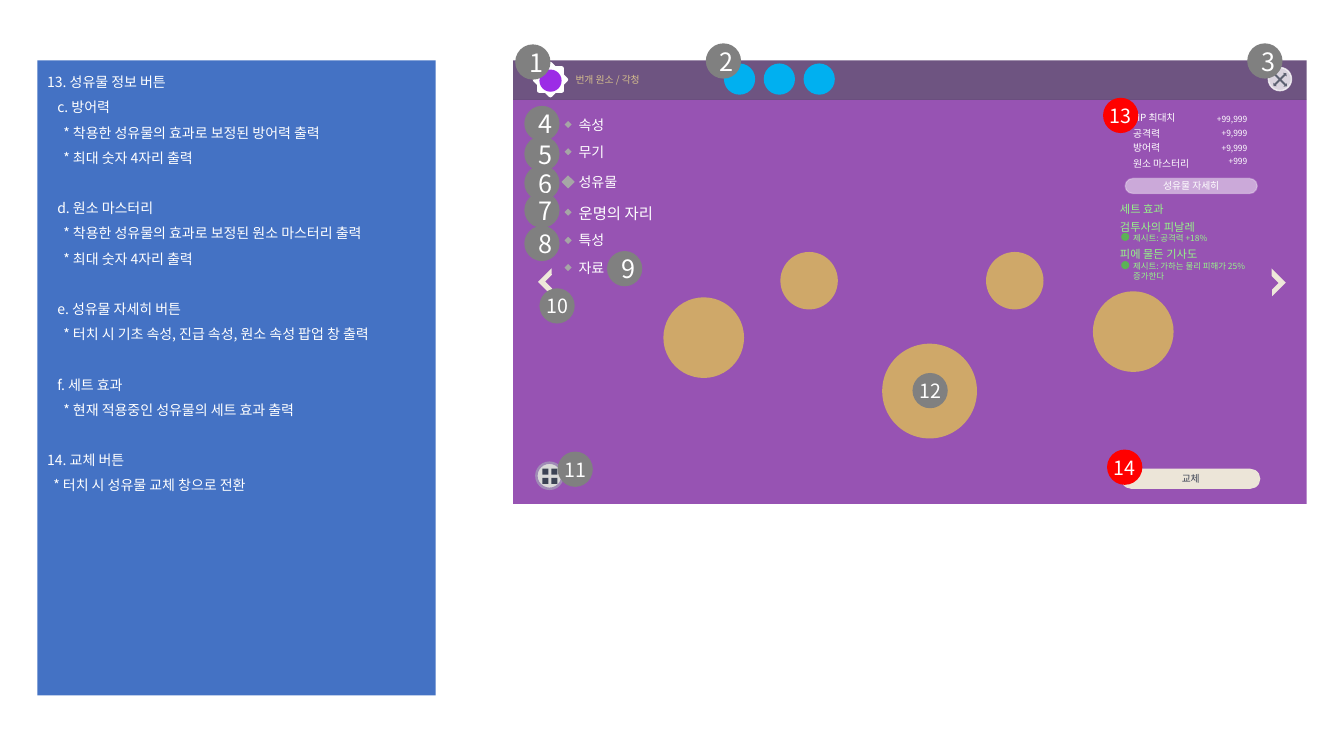
import pptx
import pptx.util
import pptx.dml.color
import pptx.enum.shapes
import pptx.enum.text
import pptx.oxml.ns
import lxml.etree

Inches = pptx.util.Inches
Pt = pptx.util.Pt
RGBColor = pptx.dml.color.RGBColor
SHAPE = pptx.enum.shapes.MSO_SHAPE
ALIGN = pptx.enum.text.PP_ALIGN
ANCHOR = pptx.enum.text.MSO_ANCHOR
qn = pptx.oxml.ns.qn

FONT = "Noto Sans CJK KR"
WHITE = RGBColor(0xFF, 0xFF, 0xFF)
PURPLE = RGBColor(0x97, 0x53, 0xB3)
HEADER = RGBColor(0x3E, 0x1B, 0x57)
CREAM = RGBColor(0xEC, 0xE5, 0xD8)
ARROW = RGBColor(0xEE, 0xE8, 0xDA)
INK = RGBColor(0x3B, 0x42, 0x54)
LIME = RGBColor(0x96, 0xF5, 0x88)
GREEN = RGBColor(0x5C, 0xB2, 0x56)
GOLD = RGBColor(0xCF, 0xA8, 0x69)
PALE_GOLD = RGBColor(0xD6, 0xBF, 0x8E)
VIOLET = RGBColor(0x9C, 0x2C, 0xE6)
LILAC = RGBColor(0x9F, 0x8A, 0xB6)
CYAN = RGBColor(0x00, 0xB0, 0xF0)
BLUE = RGBColor(0x44, 0x72, 0xC4)
LIGHT_GRAY = RGBColor(0xD9, 0xD9, 0xD9)
MID_GRAY = RGBColor(0xA6, 0xA6, 0xA6)
GRAY = RGBColor(0x80, 0x80, 0x80)
RED = RGBColor(0xFF, 0x00, 0x00)


class Screen:
    def __init__(self, slide):
        self.slide = slide

    def set_alpha(self, fill_parent, percent):
        color = fill_parent.find(qn("a:solidFill"))[0]
        alpha = lxml.etree.SubElement(color, qn("a:alpha"))
        alpha.set("val", str(percent * 1000))

    def shape(self, kind, left, top, width, height, fill=None, alpha=100,
              line=None, weight=1, line_alpha=100, rotation=0, adjust=()):
        item = self.slide.shapes.add_shape(
            kind, Inches(left), Inches(top), Inches(width), Inches(height))
        item.shadow.inherit = False
        item.rotation = rotation
        for index, value in enumerate(adjust):
            item.adjustments[index] = value
        if fill is None:
            item.fill.background()
        else:
            item.fill.solid()
            item.fill.fore_color.rgb = fill
            if alpha < 100:
                self.set_alpha(item._element.spPr, alpha)
        if line is None:
            item.line.fill.background()
        else:
            item.line.color.rgb = line
            item.line.width = Pt(weight)
            if line_alpha < 100:
                self.set_alpha(item._element.spPr.find(qn("a:ln")), line_alpha)
        return item

    def style(self, paragraph, size, color, align=ALIGN.LEFT, spacing=1.22):
        paragraph.alignment = align
        paragraph.line_spacing = Pt(round(size * spacing, 1))
        font = paragraph.font
        font.size = Pt(size)
        font.name = FONT
        font.color.rgb = color
        east_asian = lxml.etree.SubElement(font._element, qn("a:ea"))
        east_asian.set("typeface", FONT)

    def put_text(self, item, lines, size, color, align=ALIGN.LEFT,
                 anchor=ANCHOR.TOP, inset=(0.1, 0.05, 0.1, 0.05)):
        frame = item.text_frame
        frame.word_wrap = True
        frame.vertical_anchor = anchor
        (frame.margin_left, frame.margin_top,
         frame.margin_right, frame.margin_bottom) = map(Inches, inset)
        frame.text = lines
        for paragraph in frame.paragraphs:
            self.style(paragraph, size, color, align)

    def label(self, text, left, top, width, height, size, color=WHITE, **options):
        box = self.slide.shapes.add_textbox(
            Inches(left), Inches(top), Inches(width), Inches(height))
        self.put_text(box, text, size, color, **options)

    def button(self, text, left, top, width, height, color, **options):
        pill = self.shape(SHAPE.ROUNDED_RECTANGLE, left, top, width, height,
                          adjust=(0.5,), **options)
        self.put_text(pill, text, 7, color, ALIGN.CENTER, ANCHOR.MIDDLE, (0, 0, 0, 0))

    def dot(self, left, top, size, color, **options):
        return self.shape(SHAPE.OVAL, left, top, size, size, color, **options)

    def badge(self, number, left, top):
        disc = self.dot(left, top, 0.35, RED if number >= 13 else GRAY)
        size, nudge = (18, 0.07) if number < 10 else (14, 0)
        self.put_text(disc, str(number), size, WHITE, ALIGN.CENTER, ANCHOR.MIDDLE,
                      (nudge, 0, 0, 0))

    def description(self, entries):
        panel = self.shape(SHAPE.RECTANGLE, 0.37, 0.6, 3.95, 6.3, BLUE)
        self.put_text(panel, "\n".join(text for text, _, _ in entries), 10, WHITE)
        for paragraph, (_, indent, gap) in zip(panel.text_frame.paragraphs, entries):
            paragraph.line_spacing = Pt(18)
            if gap:
                paragraph.space_before = Pt(18)
            paragraph._p.get_or_add_pPr().set("marL", str(Inches(indent)))


def main():
    deck = pptx.Presentation()
    deck.slide_width, deck.slide_height = Inches(13.33), Inches(7.5)
    screen = Screen(deck.slides.add_slide(deck.slide_layouts[6]))

    screen.shape(SHAPE.RECTANGLE, 5.09, 0.99, 7.87, 4.01, PURPLE)
    screen.shape(SHAPE.RECTANGLE, 5.09, 0.6, 7.87, 0.39, HEADER, 75)

    for stat, value, stat_top, value_top in (
            ("HP 최대치", "+99,999", 1.06, 1.13), ("공격력", "+9,999", 1.22, 1.27),
            ("방어력", "+9,999", 1.36, 1.42), ("원소 마스터리", "+999", 1.51, 1.55)):
        screen.label(stat, 11.14, stat_top, 0.85, 0.22, 7)
        screen.label(value, 11.88, value_top, 0.49, 0.1, 6,
                     align=ALIGN.RIGHT, inset=(0, 0, 0, 0))
    screen.button("성유물 자세히", 11.16, 1.77, 1.31, 0.15, WHITE,
                  fill=WHITE, alpha=50, line=WHITE, line_alpha=25)
    screen.button("교체", 11.12, 4.65, 1.38, 0.2, INK, fill=CREAM)

    for heading, top in (("세트 효과", 1.96), ("검투사의 피날레", 2.13),
                         ("피에 물든 기사도", 2.4)):
        screen.label(heading, 11.01, top, 1.43, 0.24, 8, LIME)
    for effect, top, height in (("제시트: 공격력 +18%", 2.26, 0.2),
                                ("제시트: 가하는 물리 피해가 25%\n증가한다", 2.54, 0.3)):
        screen.label(effect, 11.14, top, 1.6, height, 6, LIME)
        screen.dot(11.12, top + 0.05, 0.08, GREEN)

    for left, top, size in ((8.75, 3.41, 0.94), (6.58, 2.95, 0.8), (7.74, 2.5, 0.57),
                            (9.78, 2.5, 0.57), (10.84, 2.89, 0.8)):
        screen.dot(left, top, size, GOLD)

    screen.dot(12.58, 0.67, 0.23, WHITE, alpha=75, line=WHITE, line_alpha=75)
    screen.shape(SHAPE.QUAD_ARROW, 12.6, 0.7, 0.19, 0.18, INK, 78,
                 rotation=45, adjust=(0.103, 0.139, 0.12))

    for rotation in (0, 315):
        screen.shape(SHAPE.RECTANGLE, 5.35, 0.68, 0.22, 0.22,
                     line=WHITE, weight=3, rotation=rotation)
    screen.dot(5.35, 0.69, 0.22, VIOLET)
    screen.label("번개 원소 / 각청", 5.61, 0.68, 2.08, 0.22, 7, PALE_GOLD)
    for column in range(3):
        screen.dot(7.18 + column * 0.395, 0.63, 0.31, CYAN)

    for left, rotation in ((5.38, 315), (12.52, 135)):
        screen.shape(SHAPE.HALF_FRAME, left, 2.7, 0.19, 0.2, ARROW,
                     rotation=rotation, adjust=(0.252, 0.279))

    screen.dot(5.32, 4.59, 0.26, LIGHT_GRAY, line=LILAC, weight=1.75)
    for left in (5.38, 5.47):
        for top in (4.65, 4.74):
            screen.shape(SHAPE.RECTANGLE, left, top, 0.06, 0.06, INK)

    for menu, top, size, mark in (
            ("속성", 1.1, 10, 0.07), ("무기", 1.37, 10, 0.07), ("성유물", 1.67, 10, 0.13),
            ("운명의 자리", 1.97, 11, 0.07), ("특성", 2.25, 10, 0.07),
            ("자료", 2.52, 10, 0.07)):
        screen.label(menu, 5.64, top, 0.98, 0.27, size)
        screen.shape(SHAPE.DIAMOND, 5.635 - mark / 2, top + 0.135 - mark / 2,
                     mark, mark, MID_GRAY)

    screen.description((
        ("13. 성유물 정보 버튼", 0, False),
        ("c. 방어력", 0.1, False),
        ("* 착용한 성유물의 효과로 보정된 방어력 출력", 0.16, False),
        ("* 최대 숫자 4자리 출력", 0.16, False),
        ("d. 원소 마스터리", 0.1, True),
        ("* 착용한 성유물의 효과로 보정된 원소 마스터리 출력", 0.16, False),
        ("* 최대 숫자 4자리 출력", 0.16, False),
        ("e. 성유물 자세히 버튼", 0.1, True),
        ("* 터치 시 기초 속성, 진급 속성, 원소 속성 팝업 창 출력", 0.16, False),
        ("f. 세트 효과", 0.1, True),
        ("* 현재 적용중인 성유물의 세트 효과 출력", 0.16, False),
        ("14. 교체 버튼", 0, True),
        ("* 터치 시 성유물 교체 창으로 전환", 0.06, False)))

    badge_places = ((5.11, 0.44), (7, 0.43), (12.37, 0.43), (5.2, 1.05), (5.2, 1.35),
                    (5.2, 1.64), (5.2, 1.91), (5.2, 2.24), (6.02, 2.49), (5.35, 2.86),
                    (5.53, 4.48), (9.05, 3.7), (10.94, 0.97), (10.98, 4.46))
    for number, place in enumerate(badge_places, 1):
        screen.badge(number, *place)

    deck.save("out.pptx")


if __name__ == "__main__":
    main()
